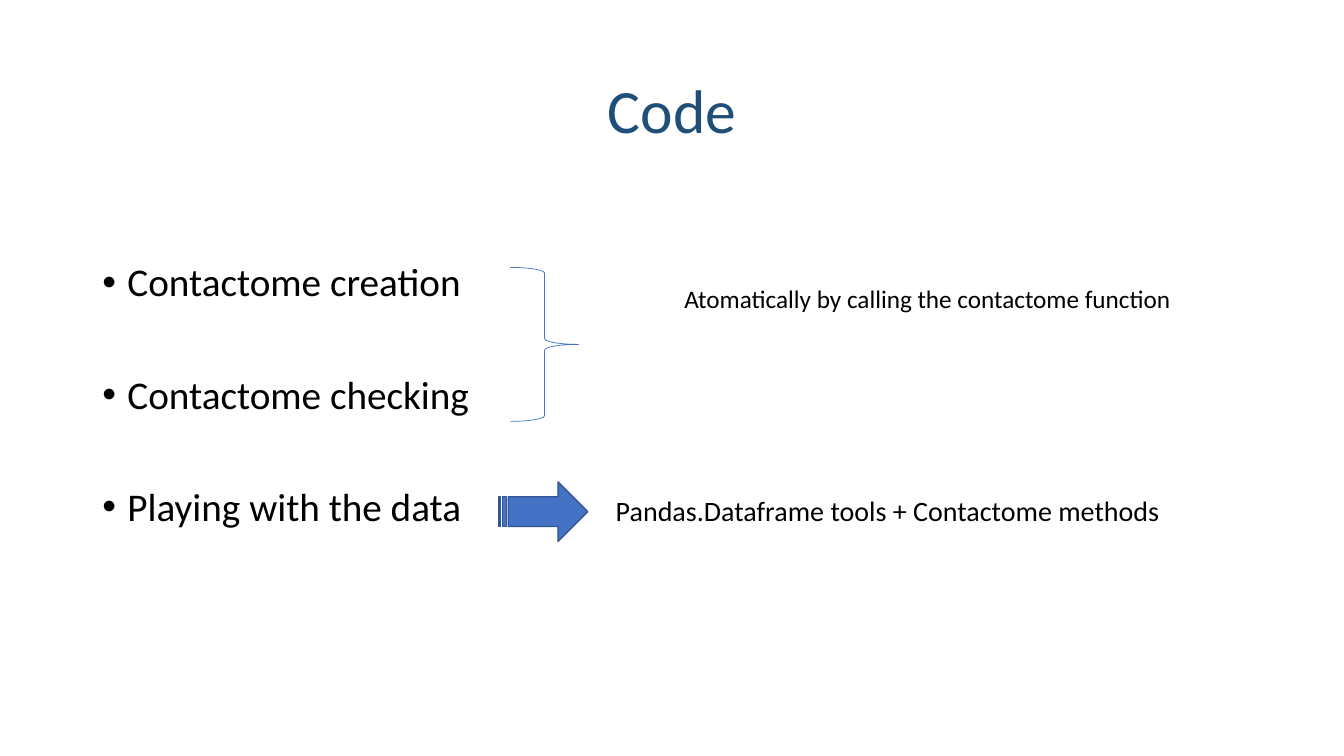
from lxml import etree
from pptx import Presentation
from pptx.dml.color import RGBColor
from pptx.enum.shapes import MSO_SHAPE
from pptx.enum.text import MSO_ANCHOR, PP_ALIGN
from pptx.oxml.ns import qn
from pptx.util import Pt

BRACE = MSO_SHAPE.RIGHT_BRACE
ARROW = MSO_SHAPE.STRIPED_RIGHT_ARROW
TOP, MIDDLE = MSO_ANCHOR.TOP, MSO_ANCHOR.MIDDLE
LEFT, CENTER = PP_ALIGN.LEFT, PP_ALIGN.CENTER

FONT = "Calibri"
BLACK = "000000"
NAVY = "1F4E79"
BLUE = "4472C4"
DARK_BLUE = "325491"
STEPS = ["Contactome creation", "Contactome checking", "Playing with the data"]


def color(value):
    """Return the colour for a hex string."""
    return RGBColor.from_string(value)


def add_bullet(para, indent=18):
    """Give a paragraph a round bullet with a hanging indent."""
    properties = para._p.get_or_add_pPr()
    properties.set("marL", str(Pt(indent)))
    properties.set("indent", str(-Pt(indent)))
    etree.SubElement(properties, qn("a:buFont")).set("typeface", "Arial")
    etree.SubElement(properties, qn("a:buChar")).set("char", "•")


def add_text(page, lines, left, top, width, height, size, ink=BLACK,
             align=LEFT, anchor=TOP, spacing=1.0, gap=0, bullets=False):
    """Add a text box with one paragraph for each line."""
    box = page.shapes.add_textbox(Pt(left), Pt(top), Pt(width), Pt(height))
    frame = box.text_frame
    frame.word_wrap = True
    frame.vertical_anchor = anchor
    for index, line in enumerate(lines):
        para = frame.add_paragraph() if index else frame.paragraphs[0]
        para.alignment = align
        para.line_spacing = spacing
        if index:
            para.space_before = Pt(gap)
        if bullets:
            add_bullet(para)
        span = para.add_run()
        span.text = line
        span.font.name = FONT
        span.font.size = Pt(size)
        span.font.color.rgb = color(ink)


def add_figure(page, kind, left, top, width, height, line, weight, fill=None):
    """Add an outlined preset shape, filled if a fill is given."""
    shape = page.shapes.add_shape(kind, Pt(left), Pt(top), Pt(width), Pt(height))
    shape.shadow.inherit = False
    shape.line.color.rgb = color(line)
    shape.line.width = Pt(weight)
    if fill:
        shape.fill.solid()
        shape.fill.fore_color.rgb = color(fill)
    else:
        shape.fill.background()


def main():
    """Build the slide and save the deck."""
    deck = Presentation()
    deck.slide_width, deck.slide_height = Pt(960), Pt(540)
    page = deck.slides.add_slide(deck.slide_layouts[6])
    add_text(page, ["Code"], 66, 28.75, 828, 104.4, 44, ink=NAVY,
             align=CENTER, anchor=MIDDLE, spacing=0.9)
    add_text(page, STEPS, 66, 184.2, 828, 302, 28,
             spacing=0.9, gap=50, bullets=True)
    add_figure(page, BRACE, 364.5, 191, 49, 110, BLUE, 0.5)
    add_figure(page, ARROW, 356.4, 344.2, 63.4, 42.5, DARK_BLUE, 1, fill=BLUE)
    add_text(page, ["Atomatically by calling the contactome function"],
             481.7, 198.7, 373, 29, 18)
    add_text(page, ["Pandas.Dataframe tools + Contactome methods"],
             432.7, 349.2, 438.5, 31.5, 20)
    deck.save("out.pptx")


if __name__ == "__main__":
    main()
